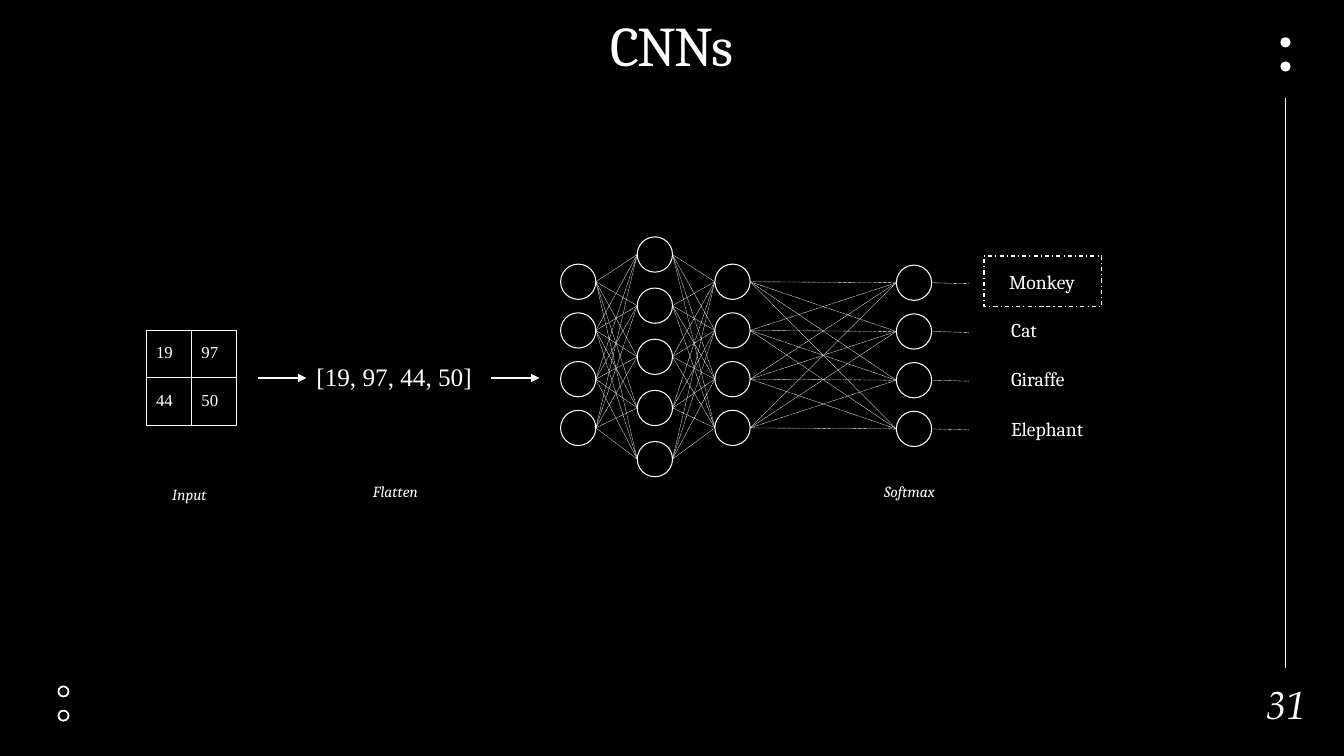
from dataclasses import dataclass
from itertools import pairwise, product

from lxml.etree import SubElement
from pptx import Presentation
from pptx.dml.color import RGBColor
from pptx.enum.dml import MSO_LINE
from pptx.enum.shapes import MSO_CONNECTOR, MSO_SHAPE
from pptx.enum.text import MSO_ANCHOR, MSO_AUTO_SIZE, PP_ALIGN
from pptx.oxml.ns import qn
from pptx.util import Inches, Pt


@dataclass(frozen=True)
class Theme:
    background = RGBColor(0x00, 0x00, 0x00)
    ink = RGBColor(0xFF, 0xFF, 0xFF)
    outline = 0.75
    ring = 1.25
    hairline = 0.25
    # Text styles: font, size, italic, alignment
    title = ("Cambria", 40, False, PP_ALIGN.CENTER)
    number = ("TeX Gyre Pagella", 28, True, PP_ALIGN.CENTER)
    cell = ("Times New Roman", 12, False, PP_ALIGN.LEFT)
    vector = ("Times New Roman", 18, False, PP_ALIGN.LEFT)
    caption = ("Cambria", 11, True, PP_ALIGN.LEFT)
    label = ("Cambria", 14, False, PP_ALIGN.LEFT)


theme = Theme()
deck = Presentation()
deck.slide_width, deck.slide_height = Inches(13.33), Inches(7.5)
page = deck.slides.add_slide(deck.slide_layouts[5])
page.background.fill.solid()
page.background.fill.fore_color.rgb = theme.background
texts = []  # (shape, wording, style), formatted together at the end


def add_outline(kind, left, top, width, height, weight=theme.outline):
    """Add an unfilled shape with a white outline."""
    shape = page.shapes.add_shape(
        kind, Inches(left), Inches(top), Inches(width), Inches(height))
    shape.shadow.inherit = False
    shape.fill.background()
    shape.line.color.rgb = theme.ink
    shape.line.width = Pt(weight)
    return shape


def add_line(start, end, weight=theme.outline, dash=None, arrow=False):
    """Add a straight white line between two points."""
    line = page.shapes.add_connector(
        MSO_CONNECTOR.STRAIGHT, *(Inches(value) for value in (*start, *end)))
    line.line.color.rgb = theme.ink
    line.line.width = Pt(weight)
    if dash:
        line.line.dash_style = dash
    if arrow:
        SubElement(line.line._get_or_add_ln(), qn("a:tailEnd"), type="triangle")
    SubElement(line._element.spPr, qn("a:effectLst"))


# Corner dots, side rule and page number
for top in (0.37, 0.61):
    dot = add_outline(MSO_SHAPE.OVAL, 12.7, top, 0.1, 0.1)
    dot.fill.solid()
    dot.fill.fore_color.rgb = theme.ink
    dot.line.fill.background()
for top in (6.81, 7.05):
    add_outline(MSO_SHAPE.OVAL, 0.58, top, 0.1, 0.1, theme.ring)
add_line((12.75, 0.97), (12.75, 6.63))
number = page.shapes.add_textbox(
    Inches(12.36), Inches(6.83), Inches(0.79), Inches(0.31))
number.text_frame.word_wrap = True
number.text_frame.vertical_anchor = MSO_ANCHOR.MIDDLE
texts.append((number, "31", theme.number))

# Title
title = page.shapes.title
title.left, title.top = Inches(4.73), Inches(0.26)
title.width, title.height = Inches(3.87), Inches(0.8)
frame = title.text_frame
frame.margin_left = frame.margin_top = frame.margin_right = frame.margin_bottom = 0
frame.vertical_anchor = MSO_ANCHOR.TOP
frame.auto_size = MSO_AUTO_SIZE.NONE
texts.append((title, "CNNs", theme.title))

# Input matrix
for row, values in enumerate((("19", "97"), ("44", "50"))):
    for column, value in enumerate(values):
        cell = add_outline(MSO_SHAPE.RECTANGLE, 1.45 + 0.45 * column,
                           3.28 + 0.47 * row, 0.45, 0.47)
        cell.text_frame.margin_right = 0
        cell.text_frame.margin_bottom = Inches(0.09)
        cell.text_frame.vertical_anchor = MSO_ANCHOR.MIDDLE
        texts.append((cell, value, theme.cell))

# Flow arrows
for left in (2.56, 4.87):
    add_line((left, 3.75), (left + 0.48, 3.75), arrow=True)

# Network layers: left, first top, last top, number of neurons
# The last layer sits slightly lower: level hairlines lose their dots
neuron = 0.35
tilt = 0.01
layers = []
for left, first, last, count in ((5.56, 2.62, 4.07, 4), (6.32, 2.35, 4.38, 5),
                                 (7.09, 2.62, 4.07, 4),
                                 (8.89, 2.62 + tilt, 4.07 + tilt, 4)):
    step = (last - first) / (count - 1)
    tops = [first + step * index for index in range(count)]
    for top in tops:
        add_outline(MSO_SHAPE.OVAL, left, top, neuron, neuron)
    layers.append((left, [top + neuron / 2 for top in tops]))

# Full connections between neighbouring layers, then the outputs
for (left, starts), (right, ends) in pairwise(layers):
    for start, end in product(starts, ends):
        add_line((left + neuron, start), (right, end),
                 theme.hairline, MSO_LINE.ROUND_DOT)
output_left, output_centers = layers[-1]
for center in output_centers:
    add_line((output_left + neuron, center), (9.61, center + tilt),
             theme.hairline, MSO_LINE.ROUND_DOT)

# Predicted class
prediction = add_outline(MSO_SHAPE.RECTANGLE, 9.76, 2.54, 1.17, 0.5)
prediction.line.dash_style = MSO_LINE.DASH_DOT

# Captions, vector and class labels
for wording, left, top, width, height, style in (
        ("Input", 1.61, 4.76, 0.59, 0.29, theme.caption),
        ("Flatten", 3.6, 4.73, 0.7, 0.29, theme.caption),
        ("Softmax", 8.67, 4.73, 0.78, 0.29, theme.caption),
        ("[19, 97, 44, 50]", 3.04, 3.54, 1.82, 0.4, theme.vector),
        ("Monkey", 9.91, 2.63, 1.04, 0.34, theme.label),
        ("Cat", 9.93, 3.11, 1.04, 0.34, theme.label),
        ("Giraffe", 9.93, 3.59, 1.04, 0.34, theme.label),
        ("Elephant", 9.93, 4.09, 1.04, 0.34, theme.label)):
    box = page.shapes.add_textbox(
        Inches(left), Inches(top), Inches(width), Inches(height))
    box.text_frame.word_wrap = style is not theme.caption
    box.text_frame.auto_size = MSO_AUTO_SIZE.SHAPE_TO_FIT_TEXT
    texts.append((box, wording, style))

# Wording and type
for shape, wording, (font, size, italic, alignment) in texts:
    shape.text_frame.text = wording
    para = shape.text_frame.paragraphs[0]
    para.alignment = alignment
    span = para.runs[0]
    span.font.name = font
    span.font.size = Pt(size)
    span.font.italic = italic
    span.font.color.rgb = theme.ink

# Tight title setting
heading = title.text_frame.paragraphs[0]
heading.line_spacing = 0.75
heading.runs[0]._r.get_or_add_rPr().set("spc", "-150")

deck.save("out.pptx")
